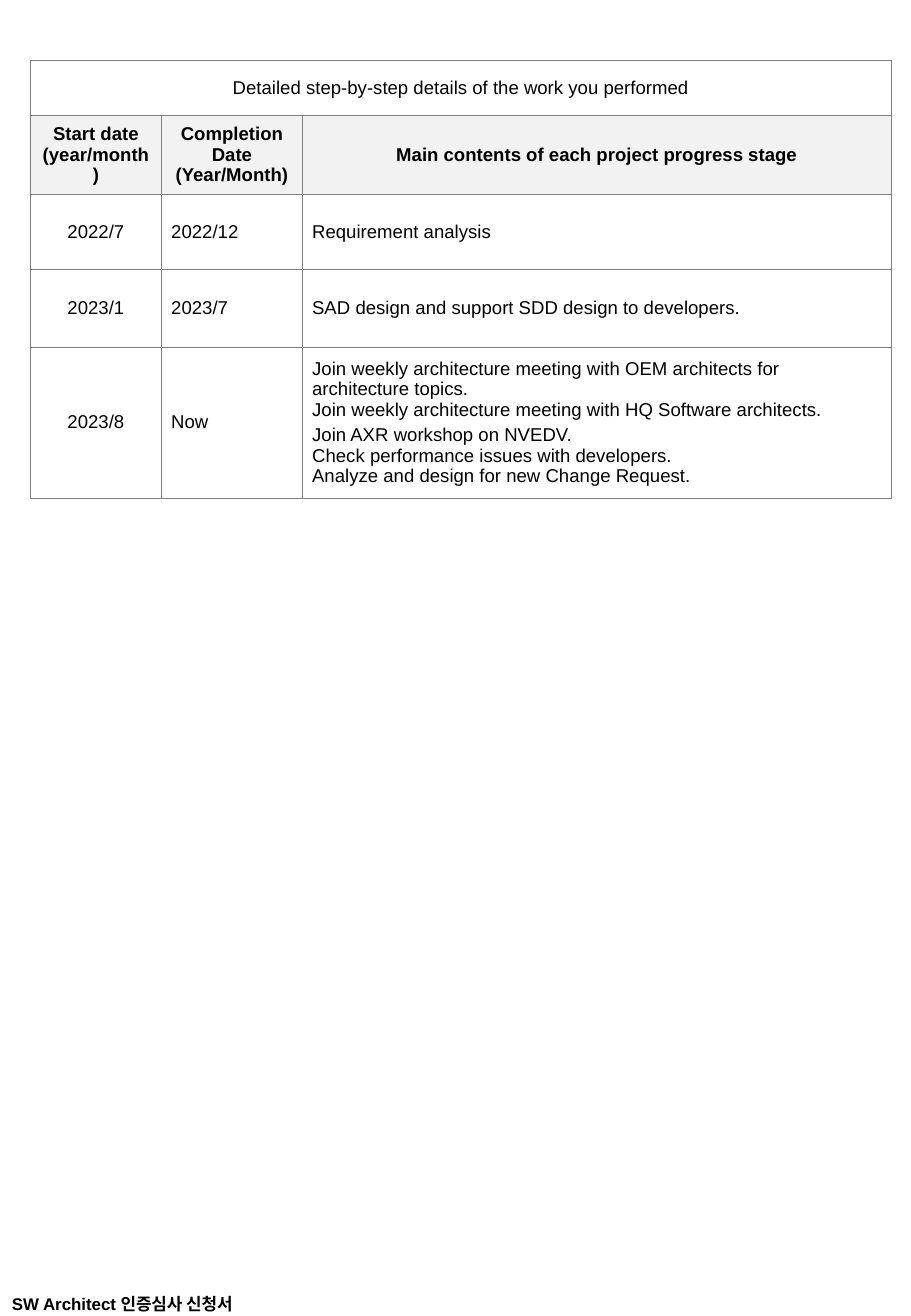
from lxml.etree import SubElement
from pptx import Presentation
from pptx.dml.color import RGBColor
from pptx.enum.text import MSO_ANCHOR as Anchor, PP_ALIGN as Align
from pptx.oxml.ns import qn
from pptx.util import Inches, Pt

COLORS = {"text": "000000", "border": "7F7F7F", "header": "F2F2F2", "plain": "FFFFFF"}
FONT = "Arial"
BORDER_WIDTH = Pt(0.34)
COLUMN_WIDTHS = [1.08, 1.16, 4.85]
ROW_HEIGHTS = [0.45, 0.59, 0.62, 0.64, 1.14]

TITLE = "Detailed step-by-step details of the work you performed"
HEADERS = [
    "Start date (year/month)",
    "Completion Date (Year/Month)",
    "Main contents of each project progress stage",
]
# Each stage: start, completion, paragraphs of contents
STAGES = [
    ("2022/7", "2022/12", ["Requirement analysis"]),
    ("2023/1", "2023/7", ["SAD design and support SDD design to developers."]),
    ("2023/8", "Now", [
        "Join weekly architecture meeting with OEM architects for architecture topics.\n"
        "Join weekly architecture meeting with HQ Software architects.",
        "Join AXR workshop on NVEDV.\n"
        "Check performance issues with developers.\n"
        "Analyze and design for new Change Request.",
    ]),
]


def write_text(paragraph, text, size=11, bold=False, align=Align.LEFT, space_before=0):
    paragraph.text = text
    paragraph.alignment = align
    paragraph.space_before = Pt(space_before)
    for run in paragraph.runs:
        run.font.name = FONT
        run.font.size = Pt(size)
        run.font.bold = bold
        run.font.color.rgb = RGBColor.from_string(COLORS["text"])
    # Line breaks take the text size too
    for line_break in paragraph._p.findall(qn("a:br")):
        SubElement(line_break, qn("a:rPr"), sz=str(size * 100))


def set_borders(cell):
    properties = cell._tc.get_or_add_tcPr()
    for side in ("lnL", "lnR", "lnT", "lnB"):
        line = SubElement(properties, qn(f"a:{side}"), w=str(BORDER_WIDTH))
        fill = SubElement(line, qn("a:solidFill"))
        SubElement(fill, qn("a:srgbClr"), val=COLORS["border"])


def style_cell(cell, fill):
    set_borders(cell)
    cell.fill.solid()
    cell.fill.fore_color.rgb = RGBColor.from_string(COLORS[fill])
    cell.vertical_anchor = Anchor.MIDDLE
    cell.margin_left = cell.margin_right = Inches(0.08)
    cell.margin_top = cell.margin_bottom = Inches(0.05)


def fill_cell(cell, paragraphs, **text_format):
    frame = cell.text_frame
    for index, text in enumerate(paragraphs):
        paragraph = frame.add_paragraph() if index else frame.paragraphs[0]
        write_text(paragraph, text, **text_format)


def add_stage_table(slide):
    table = slide.shapes.add_table(
        len(ROW_HEIGHTS), len(COLUMN_WIDTHS), Inches(0.25), Inches(0.5),
        Inches(sum(COLUMN_WIDTHS)), Inches(sum(ROW_HEIGHTS))).table
    table.first_row = table.horz_banding = False
    for column, width in zip(table.columns, COLUMN_WIDTHS):
        column.width = Inches(width)
    for index, (row, height) in enumerate(zip(table.rows, ROW_HEIGHTS)):
        row.height = Inches(height)
        for cell in row.cells:
            style_cell(cell, "header" if index == 1 else "plain")

    # Title and column headings
    centered = {"align": Align.CENTER, "space_before": 2.8}
    table.cell(0, 0).merge(table.cell(0, 2))
    fill_cell(table.cell(0, 0), [TITLE], **centered)
    for column, heading in enumerate(HEADERS):
        fill_cell(table.cell(1, column), [heading], bold=True, **centered)

    # Project stages
    for row, (start, completion, contents) in enumerate(STAGES, start=2):
        fill_cell(table.cell(row, 0), [start], **centered)
        fill_cell(table.cell(row, 1), [completion])
        fill_cell(table.cell(row, 2), contents, space_before=2.8)


def add_footer(slide):
    box = slide.shapes.add_textbox(Inches(0), Inches(10.61), Inches(2.38), Inches(0.22))
    box.text_frame.word_wrap = True
    write_text(box.text_frame.paragraphs[0], "SW Architect 인증심사 신청서", size=10, bold=True)


def main():
    presentation = Presentation()
    presentation.slide_width = Inches(7.5)
    presentation.slide_height = Inches(10.84)
    slide = presentation.slides.add_slide(presentation.slide_layouts[6])
    add_footer(slide)
    add_stage_table(slide)
    presentation.save("out.pptx")


if __name__ == "__main__":
    main()
